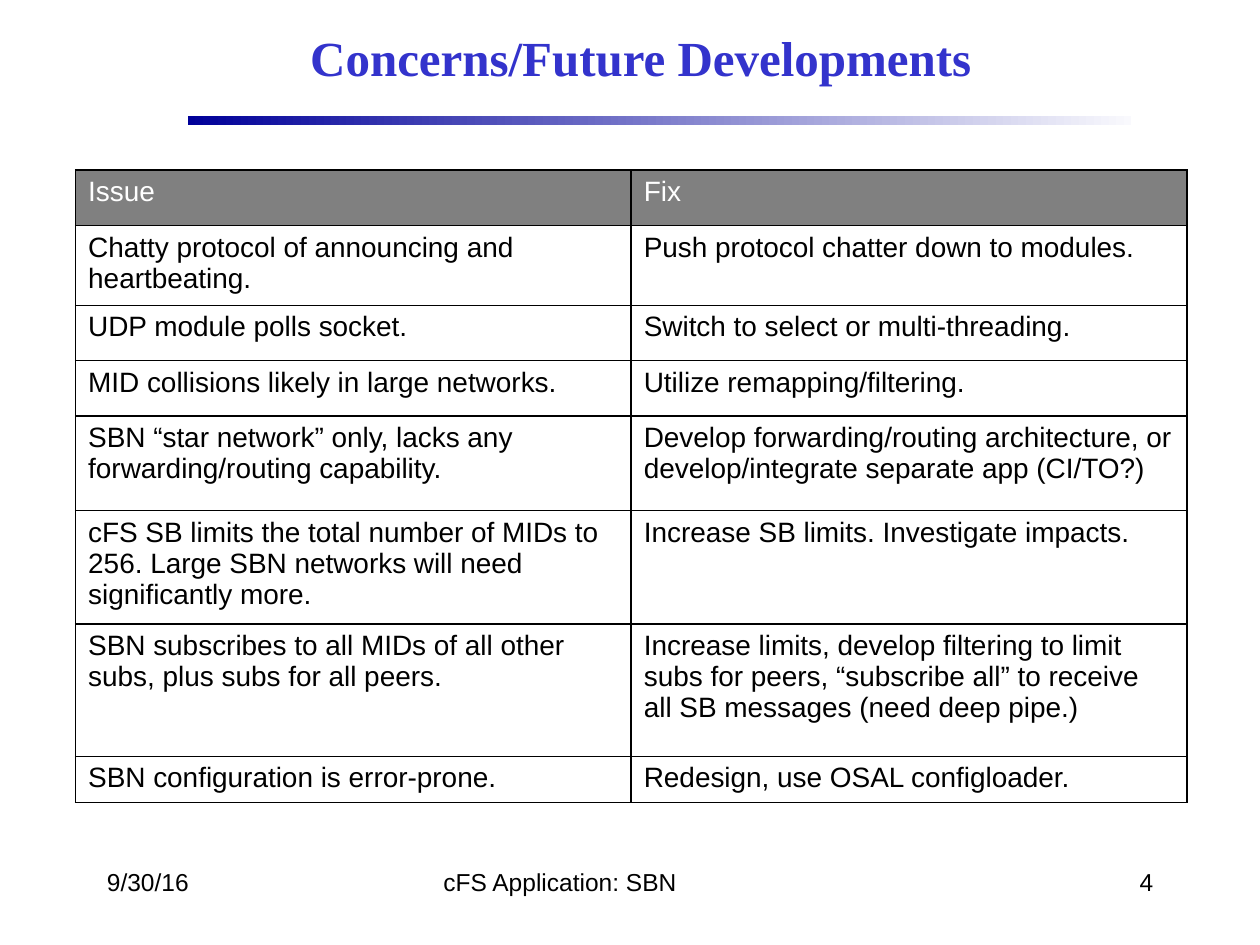
from lxml import etree
from pptx import Presentation
from pptx.dml.color import RGBColor
from pptx.enum import shapes, text
from pptx.oxml.ns import qn
from pptx.util import Inches, Pt


def rgb(value):
    return RGBColor.from_string(value)


def add_run(paragraph, words, size, color="000000", face="Arial", bold=False):
    run = paragraph.add_run()
    run.text = words
    run.font.size = Pt(size)
    run.font.name = face
    run.font.bold = bold
    run.font.color.rgb = rgb(color)


deck = Presentation()
deck.slide_width, deck.slide_height = Inches(10), Inches(7.5)
slide = deck.slides.add_slide(deck.slide_layouts[5])

rule = slide.shapes.add_shape(shapes.MSO_SHAPE.RECTANGLE, Inches(1.49),
                              Inches(0.92), Inches(7.49), Inches(0.07))
rule.shadow.inherit = False
rule.line.fill.background()
rule.fill.gradient()
rule.fill.gradient_angle = 0
for stop, color in zip(rule.fill.gradient_stops, ["000099", "F9F9FD"]):
    stop.color.rgb = rgb(color)

title = slide.shapes.title
title.left, title.top = Inches(1.5), Inches(0.08)
title.width, title.height = Inches(7.17), Inches(0.75)
title.text_frame.vertical_anchor = text.MSO_ANCHOR.MIDDLE
heading = title.text_frame.paragraphs[0]
heading.alignment = text.PP_ALIGN.CENTER
add_run(heading, "Concerns/Future Developments", 28, "3333CC", "Times New Roman", True)

footers = [
    ("9/30/16", 0.75, 2.08, text.PP_ALIGN.LEFT),
    ("cFS Application: SBN", 3.42, 3.17, text.PP_ALIGN.LEFT),
    ("4", 7.17, 2.08, text.PP_ALIGN.RIGHT),
]
for words, left, width, alignment in footers:
    footer = slide.shapes.add_textbox(Inches(left), Inches(6.83), Inches(width), Inches(0.5))
    footer.text_frame.word_wrap = True
    line = footer.text_frame.paragraphs[0]
    line.alignment = alignment
    add_run(line, words, 14)

concerns = [
    (0.44, "Issue", "Fix"),
    (0.6, "Chatty protocol of announcing and heartbeating.",
     "Push protocol chatter down to modules."),
    (0.44, "UDP module polls socket.", "Switch to select or multi-threading."),
    (0.44, "MID collisions likely in large networks.", "Utilize remapping/filtering."),
    (0.75, "SBN “star network” only, lacks any forwarding/routing capability.",
     "Develop forwarding/routing architecture, or develop/integrate separate app (CI/TO?)"),
    (0.84, "cFS SB limits the total number of MIDs to 256. "
     "Large SBN networks will need significantly more.",
     "Increase SB limits. Investigate impacts."),
    (1.05, "SBN subscribes to all MIDs of all other subs, plus subs for all peers.",
     "Increase limits, develop filtering to limit subs for peers, "
     "“subscribe all” to receive all SB messages (need deep pipe.)"),
    (0.35, "SBN configuration is error-prone.", "Redesign, use OSAL configloader."),
]
total = sum(height for height, *_ in concerns)
table = slide.shapes.add_table(len(concerns), 2, Inches(0.6), Inches(1.35),
                               Inches(8.82), Inches(total)).table
for column in table.columns:
    column.width = Inches(4.41)
for row, (height, *entries) in enumerate(concerns):
    table.rows[row].height = Inches(height)
    cell_fill, ink = ("808080", "FFFFFF") if row == 0 else ("FFFFFF", "000000")
    for col, words in enumerate(entries):
        cell = table.cell(row, col)
        add_run(cell.text_frame.paragraphs[0], words, 16, ink)
        properties = cell._tc.get_or_add_tcPr()
        for side in ("a:lnL", "a:lnR", "a:lnT", "a:lnB"):
            border = etree.SubElement(properties, qn(side), w=str(Pt(1)))
            solid = etree.SubElement(border, qn("a:solidFill"))
            etree.SubElement(solid, qn("a:srgbClr"), val="000000")
        cell.fill.solid()
        cell.fill.fore_color.rgb = rgb(cell_fill)

deck.save("out.pptx")
